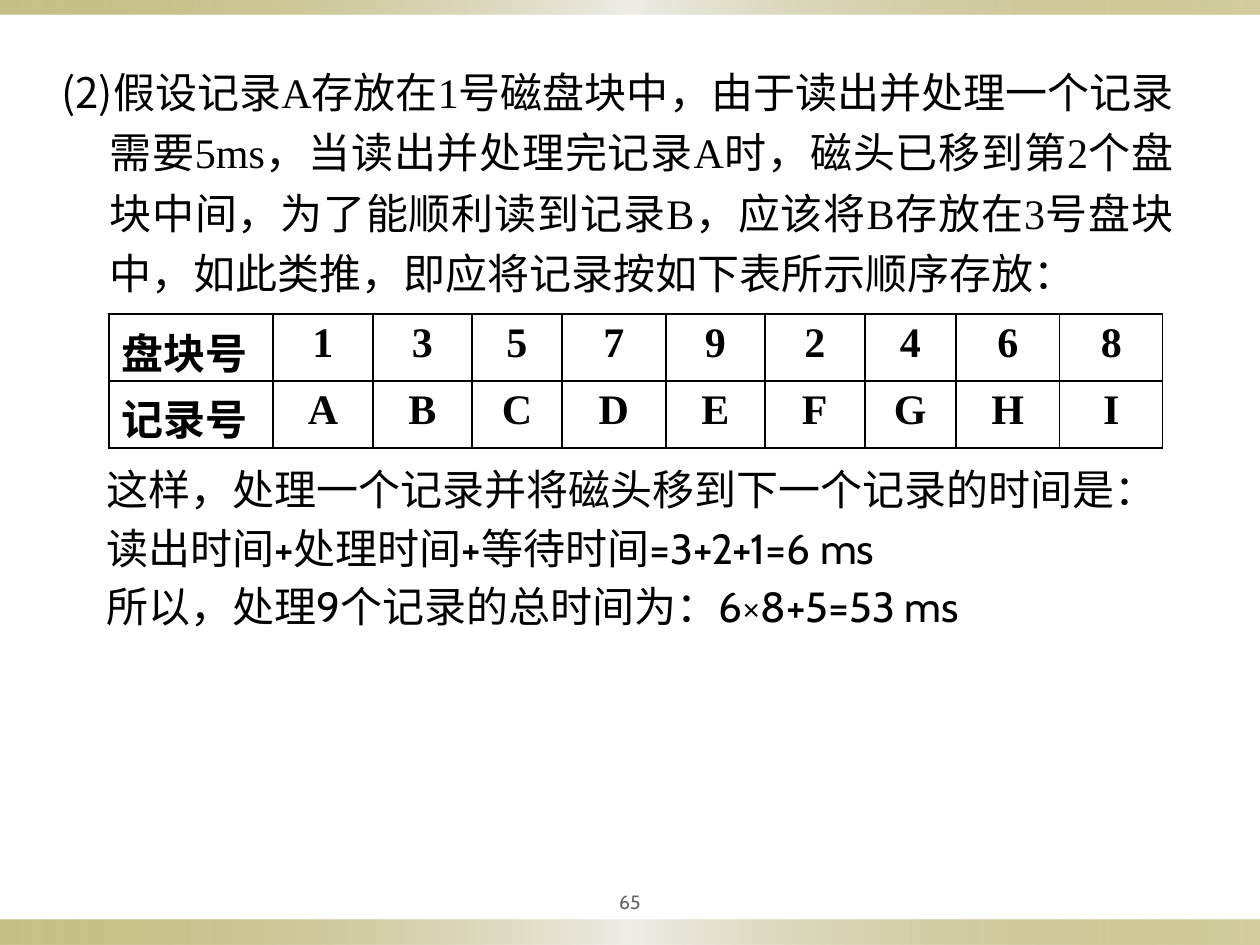
import pptx
import pptx.util
import pptx.dml.color
import pptx.enum.shapes
import pptx.enum.text
import pptx.oxml
import pptx.oxml.ns

RGB = pptx.dml.color.RGBColor
ALIGN = pptx.enum.text.PP_ALIGN
ANCHOR = pptx.enum.text.MSO_ANCHOR
BLACK = RGB(0, 0, 0)
GREY = RGB(0x63, 0x63, 0x63)
OLIVE = RGB(0x91, 0x84, 0x15)
PALE = RGB(0xEE, 0xED, 0xE8)
SERIF, SANS = "Times New Roman", "Cabin"
SCALE = 914400 / 126

TASK = ("假设记录A存放在1号磁盘块中，由于读出并处理一个记录需要5ms，"
        "当读出并处理完记录A时，磁头已移到第2个盘块中间，"
        "为了能顺利读到记录B，应该将B存放在3号盘块中，"
        "如此类推，即应将记录按如下表所示顺序存放：")
ROWS = [["盘块号", *"135792468"], ["记录号", *"ABCDEFGHI"]]
WIDTHS = [164, 100, 99, 90, 104, 99, 100, 91, 104, 103]
RESULT = ["这样，处理一个记录并将磁头移到下一个记录的时间是：",
          "读出时间+处理时间+等待时间=3+2+1=6 ms",
          "所以，处理9个记录的总时间为：6×8+5=53 ms"]


def px(n):
    return round(n * SCALE)


def node(tag, inner="", **attrs):
    """Parse one a: element from its tag, inner XML and attributes."""
    text = "".join(f' {k}="{v}"' for k, v in attrs.items())
    ns = pptx.oxml.ns.nsdecls("a")
    return pptx.oxml.parse_xml(f"<a:{tag} {ns}{text}>{inner}</a:{tag}>")


def style(para, size, face, color, bold=False):
    font = para.font
    font.size, font.name, font.bold = pptx.util.Pt(size), face, bold
    font.color.rgb = color


def add_band(slide, top, height):
    """Add a full-width strip that fades from olive to pale and back."""
    band = slide.shapes.add_shape(
        pptx.enum.shapes.MSO_SHAPE.RECTANGLE, 0, px(top), px(1260), px(height))
    band.shadow.inherit = False
    band.line.fill.background()
    band.fill.gradient()
    band.fill.gradient_angle = 0
    stops = band._element.spPr.find(
        pptx.oxml.ns.qn("a:gradFill")).find(pptx.oxml.ns.qn("a:gsLst"))
    stops.clear()
    for pos, color, alpha in ((0, OLIVE, 50), (50, PALE, 100), (100, OLIVE, 40)):
        tint = f'<a:srgbClr val="{color}"><a:alpha val="{alpha * 1000}"/></a:srgbClr>'
        stops.append(node("gs", tint, pos=pos * 1000))


def add_text(slide, box, lines, size, face, color=BLACK, before=0):
    """Add a text box; before is the space above each line in percent."""
    frame = slide.shapes.add_textbox(*map(px, box)).text_frame
    frame.word_wrap = True
    frame.text = "\n".join(lines)
    for para in frame.paragraphs:
        style(para, size, face, color)
        if before:
            pct = f'<a:spcPct val="{before * 1000}"/>'
            para._p.get_or_add_pPr().insert(0, node("spcBef", pct))
    return frame


def add_task(slide):
    frame = add_text(slide, (49, 50, 1137, 251), [TASK], 24, SERIF, before=50)
    para = frame.paragraphs[0]
    para.alignment = ALIGN.JUSTIFY
    para.line_spacing = 1.2
    props = para._p.get_or_add_pPr()
    props.set("marL", str(px(48)))
    props.set("indent", str(-px(48)))
    props.find(pptx.oxml.ns.qn("a:spcBef")).addnext(
        node("buAutoNum", type="arabicParenBoth", startAt=2))


def add_grid(slide):
    """Add the table of blocks and records."""
    frame = slide.shapes.add_table(
        len(ROWS), len(WIDTHS), px(109), px(314), px(sum(WIDTHS)), px(134))
    table = frame.table
    table.first_row = table.horz_banding = False
    for col, width in zip(table.columns, WIDTHS):
        col.width = px(width)
    for r, row in enumerate(ROWS):
        for c, word in enumerate(row):
            cell = table.cell(r, c)
            cell.text = word
            para = cell.text_frame.paragraphs[0]
            style(para, 24, SERIF, BLACK, bold=True)
            para.alignment = ALIGN.CENTER if c else ALIGN.LEFT
            cell.fill.background()
            props = cell._tc.get_or_add_tcPr()
            ink = f'<a:solidFill><a:srgbClr val="{BLACK}"/></a:solidFill>'
            for i, side in enumerate(("lnL", "lnR", "lnT", "lnB")):
                props.insert(i, node(side, ink, w=12700))


def add_page(slide):
    frame = add_text(slide, (567, 882, 126, 39), ["65"], 11, SANS, GREY)
    frame.vertical_anchor = ANCHOR.MIDDLE
    frame.margin_left = frame.margin_right = px(6)
    frame.paragraphs[0].alignment = ALIGN.CENTER


def main():
    deck = pptx.Presentation()
    deck.slide_width, deck.slide_height = px(1260), px(945)
    slide = deck.slides.add_slide(deck.slide_layouts[6])
    add_band(slide, 920, 25)
    add_band(slide, 0, 15)
    add_page(slide)
    add_task(slide)
    add_grid(slide)
    add_text(slide, (94, 457, 1111, 185), RESULT, 24, SANS, before=20)
    deck.save("out.pptx")


if __name__ == "__main__":
    main()
